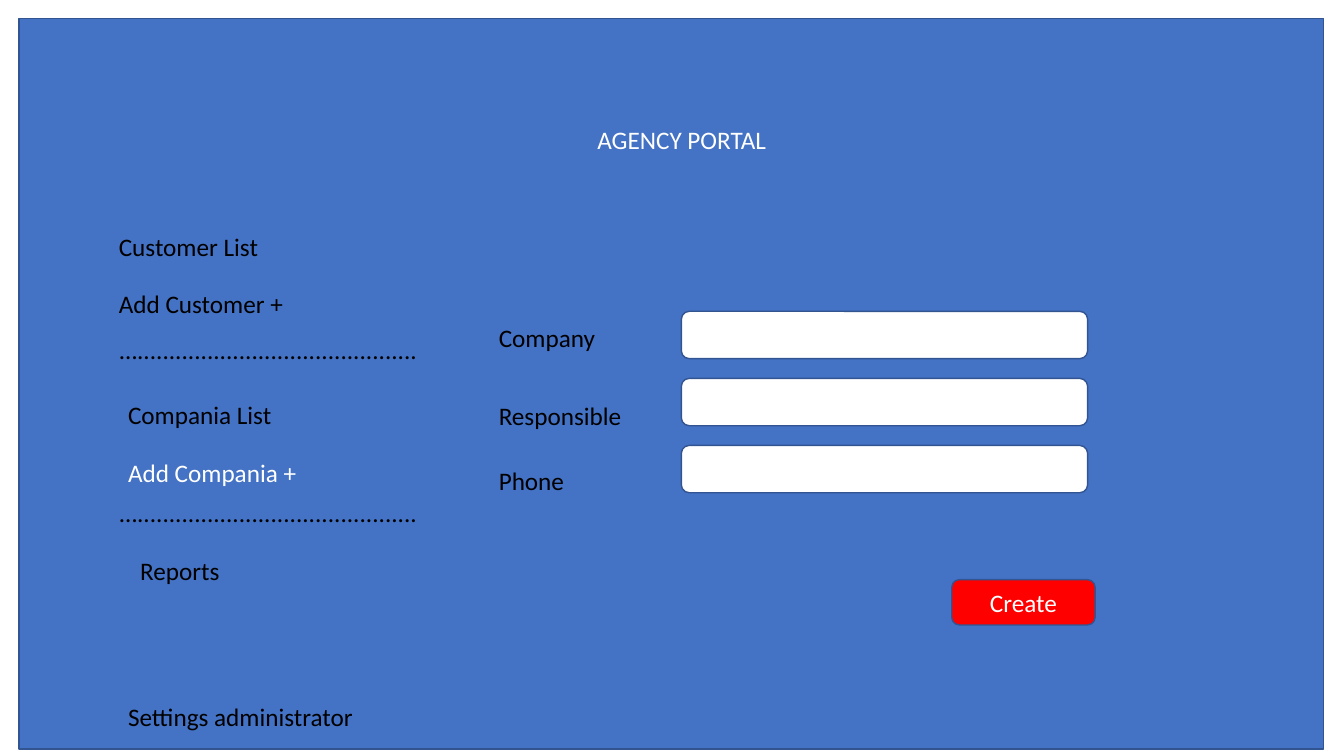
import pptx
import pptx.util
import pptx.dml.color
import pptx.enum.shapes
import pptx.enum.text

Pt = pptx.util.Pt
SHAPE = pptx.enum.shapes.MSO_SHAPE
ALIGN = pptx.enum.text.PP_ALIGN
ANCHOR = pptx.enum.text.MSO_ANCHOR
FIT = pptx.enum.text.MSO_AUTO_SIZE

COLORS = {
    "panel": "4472C4",
    "outline": "325491",
    "button": "FF0000",
    "white": "FFFFFF",
    "black": "000000",
}
FONT = {"name": "Calibri", "size": Pt(18), "bold": False}
TEXT_HEIGHT = 29.08
DOTS = "\u2026" + "." * 44

# Menu entries: text, left, top, width, colour
MENU = [
    ("Customer List", 77.8, 162, 216, "black"),
    ("Add Customer +", 77.8, 202.5, 216, "black"),
    (DOTS, 78.4, 235.4, 350, "black"),
    ("Compania List", 84.4, 281.8, 216, "black"),
    ("Add Compania +", 84.4, 322.9, 216, "white"),
    (DOTS, 78.4, 352, 350, "black"),
    ("Reports", 93.1, 393.1, 216, "black"),
    ("Settings administrator", 84.4, 497.7, 216, "black"),
]

# Form labels: text, top, width
FORM_LABELS = [
    ("Company", 226.8, 174),
    ("Responsible", 282.1, 216),
    ("Phone", 328.5, 216),
]
LABEL_LEFT = 349.2
FIELD_LEFT, FIELD_TOP, FIELD_STEP = 486.7, 222.4, 47.9
FIELD_WIDTH, FIELD_HEIGHT = 290.2, 33.8


def rgb(name):
    """Return the named colour."""
    return pptx.dml.color.RGBColor.from_string(COLORS[name])


def write_text(shape, text, color, align=ALIGN.LEFT):
    """Put one formatted line of text in a shape."""
    shape.text_frame.word_wrap = True
    para = shape.text_frame.paragraphs[0]
    para.alignment = align
    span = para.add_run()
    span.text = text
    for key, value in FONT.items():
        setattr(span.font, key, value)
    span.font.color.rgb = rgb(color)


def add_label(page, text, left, top, width, color="black"):
    """Add a text box that grows with its text."""
    box = page.shapes.add_textbox(Pt(left), Pt(top), Pt(width), Pt(TEXT_HEIGHT))
    write_text(box, text, color)
    box.text_frame.auto_size = FIT.SHAPE_TO_FIT_TEXT


def add_block(page, kind, left, top, width, height, fill):
    """Add a filled, outlined shape without shadow."""
    block = page.shapes.add_shape(kind, Pt(left), Pt(top), Pt(width), Pt(height))
    block.shadow.inherit = False
    block.fill.solid()
    block.fill.fore_color.rgb = rgb(fill)
    block.line.color.rgb = rgb("outline")
    block.line.width = Pt(1)
    return block


def place_title(page, text):
    """Move and format the title placeholder."""
    title = page.shapes.title
    bounds = {"left": 365, "top": 85, "width": 244, "height": TEXT_HEIGHT}
    for key, value in bounds.items():
        setattr(title, key, Pt(value))
    write_text(title, text, "white", ALIGN.CENTER)
    title.text_frame.vertical_anchor = ANCHOR.TOP
    title.text_frame.auto_size = FIT.SHAPE_TO_FIT_TEXT
    return title


def add_form(page):
    """Add the labels, entry fields and button of the company form."""
    for row, (text, top, width) in enumerate(FORM_LABELS):
        add_label(page, text, LABEL_LEFT, top, width)
        add_block(page, SHAPE.ROUNDED_RECTANGLE, FIELD_LEFT,
                  FIELD_TOP + row * FIELD_STEP, FIELD_WIDTH, FIELD_HEIGHT, "white")
    button = add_block(page, SHAPE.ROUNDED_RECTANGLE, 679.9, 414, 102.4, 32.4, "button")
    write_text(button, "Create", "white", ALIGN.CENTER)
    button.text_frame.vertical_anchor = ANCHOR.MIDDLE


def main():
    """Build the agency portal slide."""
    deck = pptx.Presentation()
    deck.slide_width, deck.slide_height = Pt(960), Pt(540)
    page = deck.slides.add_slide(deck.slide_layouts.get_by_name("Title Only"))
    panel = add_block(page, SHAPE.RECTANGLE, 13.7, 13, 931.7, 522, "panel")
    title = place_title(page, "AGENCY PORTAL")
    title.element.addprevious(panel.element)  # keep the panel behind the title
    for entry in MENU:
        add_label(page, *entry)
    add_form(page)
    deck.save("out.pptx")


main()
